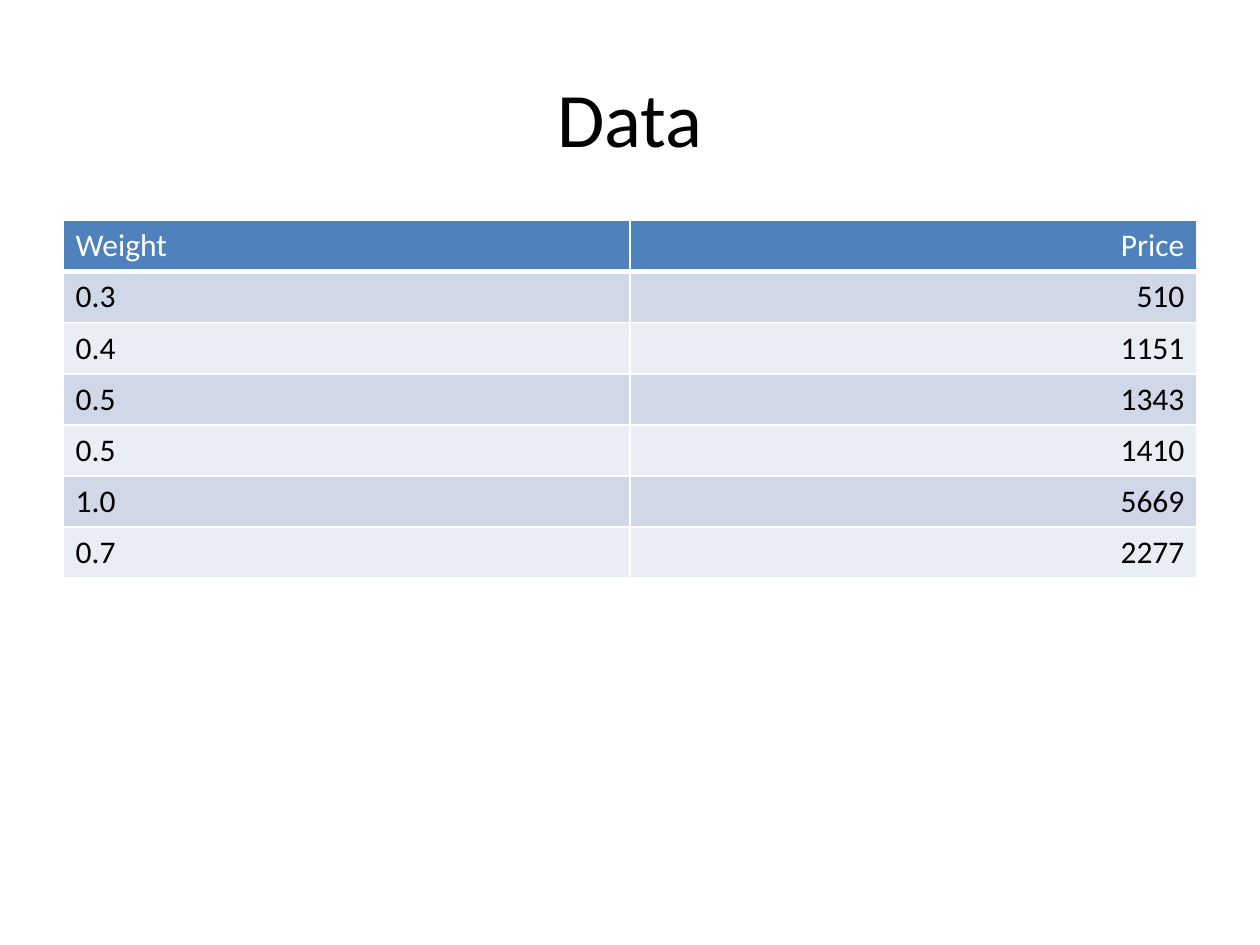
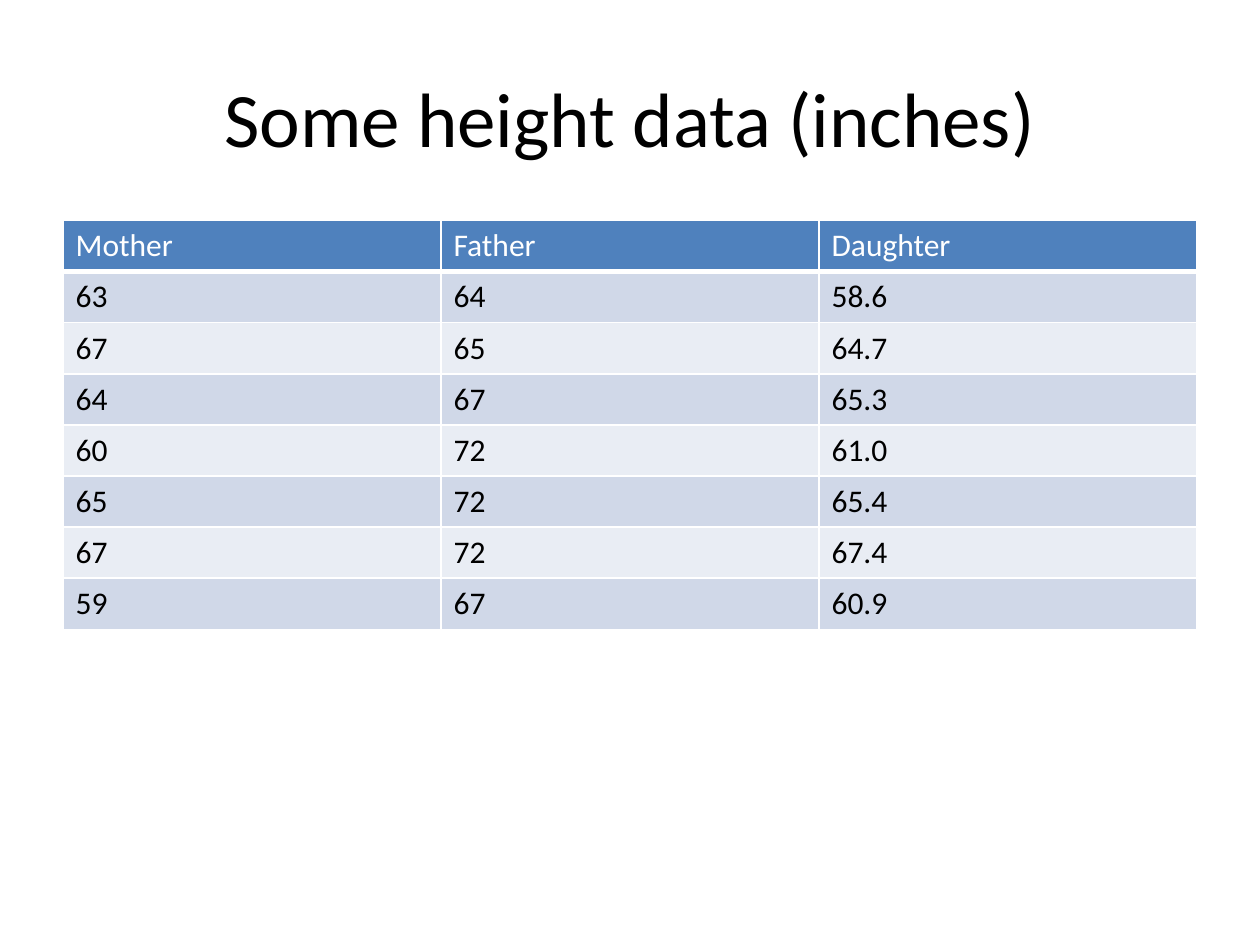
from lxml import etree
from pptx import Presentation
from pptx.dml.color import RGBColor
from pptx.enum.text import MSO_ANCHOR, PP_ALIGN
from pptx.oxml.ns import qn
from pptx.util import Inches, Pt

LEFT, CENTER, RIGHT = PP_ALIGN.LEFT, PP_ALIGN.CENTER, PP_ALIGN.RIGHT
MIDDLE = MSO_ANCHOR.MIDDLE
TITLE_ONLY = 5

COLORS = {
    "text": "000000",
    "header_text": "FFFFFF",
    "header": "4F81BD",
    "odd_row": "D0D8E8",
    "even_row": "E9EDF4",
    "border": "FFFFFF",
}
FONT = "Calibri"
MARGIN, CONTENT_WIDTH = 0.5, 9
TABLE_TOP, ROW_HEIGHT = 1.75, 0.4

WEIGHT_PRICE_ROWS = [
    ("Weight", "Price"),
    ("0.3", "510"),
    ("0.4", "1151"),
    ("0.5", "1343"),
    ("0.5", "1410"),
    ("1.0", "5669"),
    ("0.7", "2277"),
]
HEIGHT_ROWS = [
    ("Mother", "Father", "Daughter"),
    ("63", "64", "58.6"),
    ("67", "65", "64.7"),
    ("64", "67", "65.3"),
    ("60", "72", "61.0"),
    ("65", "72", "65.4"),
    ("67", "72", "67.4"),
    ("59", "67", "60.9"),
]


class Deck:
    def __init__(self):
        self.presentation = Presentation()
        self.presentation.slide_width = Inches(10)
        self.presentation.slide_height = Inches(7.5)
        self.slide = None

    def add_slide(self, title):
        layout = self.presentation.slide_layouts[TITLE_ONLY]
        self.slide = self.presentation.slides.add_slide(layout)
        shape = self.slide.shapes.title
        shape.left, shape.top = Inches(MARGIN), Inches(0.3)
        shape.width, shape.height = Inches(CONTENT_WIDTH), Inches(1.25)
        shape.text_frame.vertical_anchor = MIDDLE
        self.add_text(shape.text_frame, title, 44, "text", CENTER)

    def add_text(self, text_frame, text, size, color, alignment):
        paragraph = text_frame.paragraphs[0]
        paragraph.alignment = alignment
        run = paragraph.add_run()
        run.text = text
        run.font.name = FONT
        run.font.size = Pt(size)
        run.font.bold = False
        run.font.color.rgb = RGBColor.from_string(COLORS[color])

    def add_table(self, rows, alignments):
        """Draw a banded table with equal columns, one alignment for each."""
        column_count = len(alignments)
        table = self.slide.shapes.add_table(
            len(rows), column_count, Inches(MARGIN), Inches(TABLE_TOP),
            Inches(CONTENT_WIDTH), Inches(ROW_HEIGHT * len(rows))).table
        for column in table.columns:
            column.width = Inches(CONTENT_WIDTH / column_count)
        for row_index, values in enumerate(rows):
            is_header = row_index == 0
            band = "odd_row" if row_index % 2 else "even_row"
            fill = "header" if is_header else band
            text_color = "header_text" if is_header else "text"
            top_width = 3 if row_index == 1 else 1
            bottom_width = 3 if is_header else 1
            for column_index, value in enumerate(values):
                cell = table.cell(row_index, column_index)
                self.add_borders(cell, {"L": 1, "R": 1, "T": top_width, "B": bottom_width})
                cell.fill.solid()
                cell.fill.fore_color.rgb = RGBColor.from_string(COLORS[fill])
                self.add_text(cell.text_frame, value, 18, text_color, alignments[column_index])

    def add_borders(self, cell, widths):
        """Line each side of the cell; widths are in points."""
        properties = cell._tc.get_or_add_tcPr()
        for side, width in widths.items():
            line = etree.SubElement(properties, qn(f"a:ln{side}"), w=str(Pt(width)))
            fill = etree.SubElement(line, qn("a:solidFill"))
            etree.SubElement(fill, qn("a:srgbClr"), val=COLORS["border"])


def main():
    deck = Deck()
    deck.add_slide("Data")
    deck.add_table(WEIGHT_PRICE_ROWS, [LEFT, RIGHT])
    deck.add_slide("Some height data (inches)")
    deck.add_table(HEIGHT_ROWS, [LEFT] * 3)
    deck.presentation.save("out.pptx")


if __name__ == "__main__":
    main()
